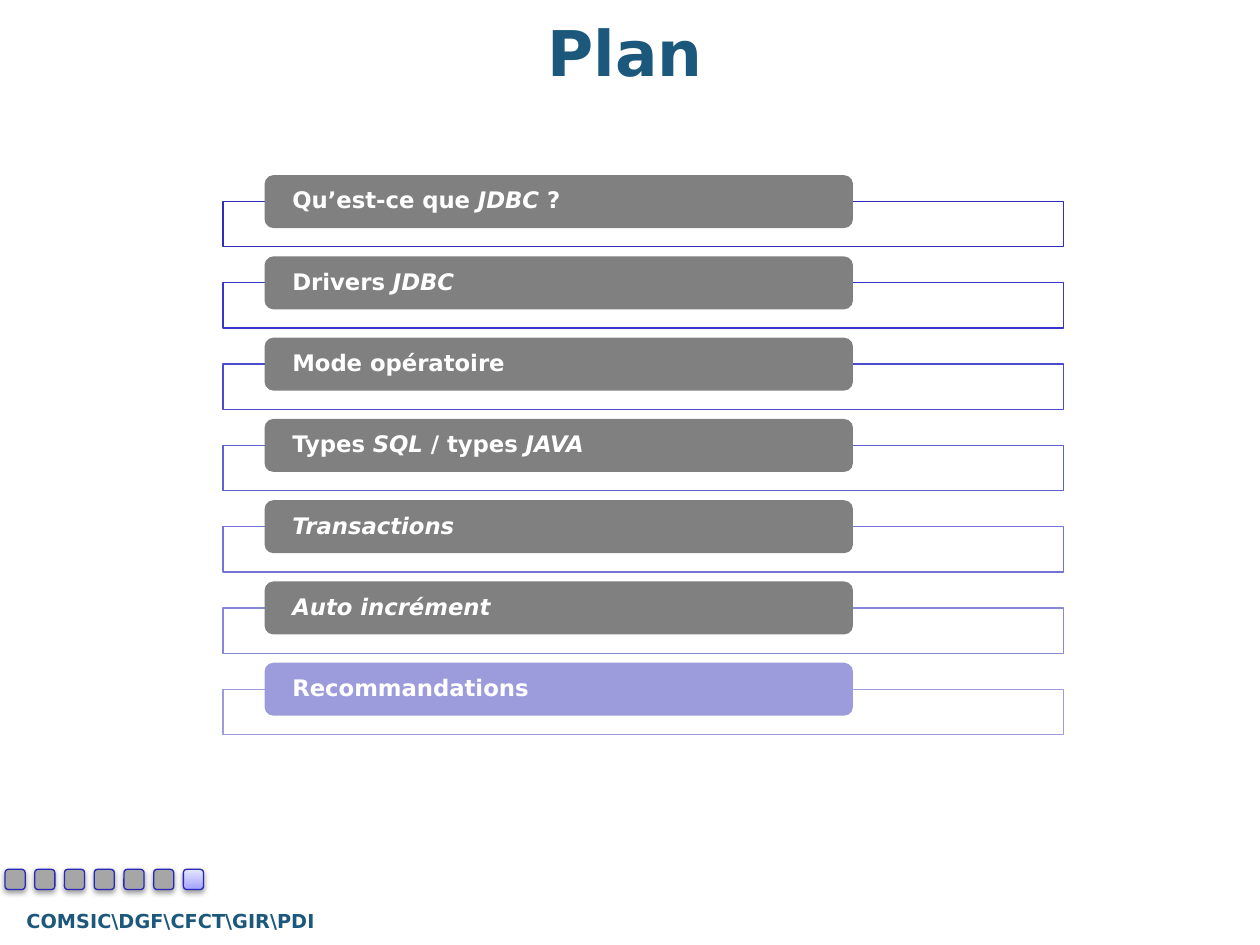
import pptx
import pptx.util
import pptx.oxml
import pptx.oxml.ns
from pptx.dml.color import RGBColor
from pptx.enum.shapes import MSO_SHAPE
from pptx.enum.text import MSO_ANCHOR, PP_ALIGN
from pptx.util import Inches

FONT = "DejaVu Sans"
TITLE = RGBColor(0x1B, 0x58, 0x7C)
WHITE = RGBColor(0xFF, 0xFF, 0xFF)
GREY = RGBColor(0x80, 0x80, 0x80)
LILAC = RGBColor(0x9C, 0x9C, 0xDD)
STEP_FILL = RGBColor(0xA6, 0xA6, 0xA6)
STEP_LINE = RGBColor(0x29, 0x29, 0xB8)
NS = pptx.oxml.ns.nsdecls("a")

prs = pptx.Presentation()
prs.slide_width, prs.slide_height = Inches(10), Inches(7.5)
s = prs.slides.add_slide(prs.slide_layouts[6])


def add_box(kind, x, y, w, h, fill, line=None):
    sp = s.shapes.add_shape(kind, Inches(x), Inches(y), Inches(w), Inches(h))
    sp.shadow.inherit = False
    sp.fill.solid()
    sp.fill.fore_color.rgb = fill
    if line is None:
        sp.line.fill.background()
    else:
        sp.line.color.rgb = line
        sp.line.width = pptx.util.Pt(0.75)
    return sp


def set_font(p, size, color):
    p.font.name, p.font.size, p.font.bold = FONT, pptx.util.Pt(size), True
    p.font.color.rgb = color


# Footer and title
for text, size, x, y, w, h in [
    ("COMSIC\\DGF\\CFCT\\GIR\\PDI", 11, -0.2, 7.16, 3.11, 0.29),
    ("Plan", 36, 0.43, 0.05, 9.06, 0.71),
]:
    tf = s.shapes.add_textbox(Inches(x), Inches(y), Inches(w), Inches(h)).text_frame
    tf.word_wrap = True
    tf.vertical_anchor = MSO_ANCHOR.MIDDLE
    p = tf.paragraphs[0]
    p.text = text
    p.alignment = PP_ALIGN.CENTER
    set_font(p, size, TITLE)

# Agenda: frame colour, then runs as (text, italic)
agenda = [
    ("2E2EB9", [("Qu’est-ce que ", False), ("JDBC", True), (" ?", False)]),
    ("3636CA", [("Drivers ", False), ("JDBC", True)]),
    ("4B4BCD", [("Mode opératoire", False)]),
    ("6060D0", [("Types ", False), ("SQL", True), (" / types ", False), ("JAVA", True)]),
    ("7474D4", [("Transactions", True)]),
    ("8888D8", [("Auto incrément", True)]),
    ("9C9CDD", [("Recommandations", False)]),
]
current = len(agenda) - 1
for i, (frame_color, runs) in enumerate(agenda):
    y = 1.39 + i * 0.645
    add_box(MSO_SHAPE.RECTANGLE, 1.77, y + 0.21, 6.67, 0.36, WHITE,
            RGBColor.from_string(frame_color))
    sp = add_box(MSO_SHAPE.ROUNDED_RECTANGLE, 2.1, y, 4.67, 0.42,
                 LILAC if i == current else GREY)
    tf = sp.text_frame
    tf.vertical_anchor = MSO_ANCHOR.MIDDLE
    tf.margin_left = tf.margin_right = Inches(0.2)
    tf.margin_top = tf.margin_bottom = 0
    p = tf.paragraphs[0]
    p.alignment = PP_ALIGN.LEFT
    p.line_spacing = 0.9
    set_font(p, 13, WHITE)
    for text, italic in runs:
        r = p.add_run()
        r.text = text
        r.font.italic = italic

# Progress squares, the current one with a gradient
SHADOW = (f'<a:outerShdw {NS} blurRad="39370" dist="20320" dir="5400000" rotWithShape="0">'
          '<a:srgbClr val="000000"><a:alpha val="38000"/></a:srgbClr></a:outerShdw>')
GRADIENT = (f'<a:gradFill {NS} rotWithShape="1"><a:gsLst>'
            '<a:gs pos="0"><a:srgbClr val="9F9FFF"/></a:gs>'
            '<a:gs pos="35000"><a:srgbClr val="BBBBFF"/></a:gs>'
            '<a:gs pos="100000"><a:srgbClr val="E5E5FF"/></a:gs>'
            '</a:gsLst><a:lin ang="16200000" scaled="0"/></a:gradFill>')
for i in range(len(agenda)):
    sp = add_box(MSO_SHAPE.ROUNDED_RECTANGLE, 0.04 + i * 0.236, 6.9, 0.16, 0.16,
                 STEP_FILL, STEP_LINE)
    spPr = sp._element.spPr
    spPr.find(pptx.oxml.ns.qn("a:effectLst")).append(pptx.oxml.parse_xml(SHADOW))
    if i == current:
        solid = spPr.find(pptx.oxml.ns.qn("a:solidFill"))
        spPr.replace(solid, pptx.oxml.parse_xml(GRADIENT))

prs.save("out.pptx")
